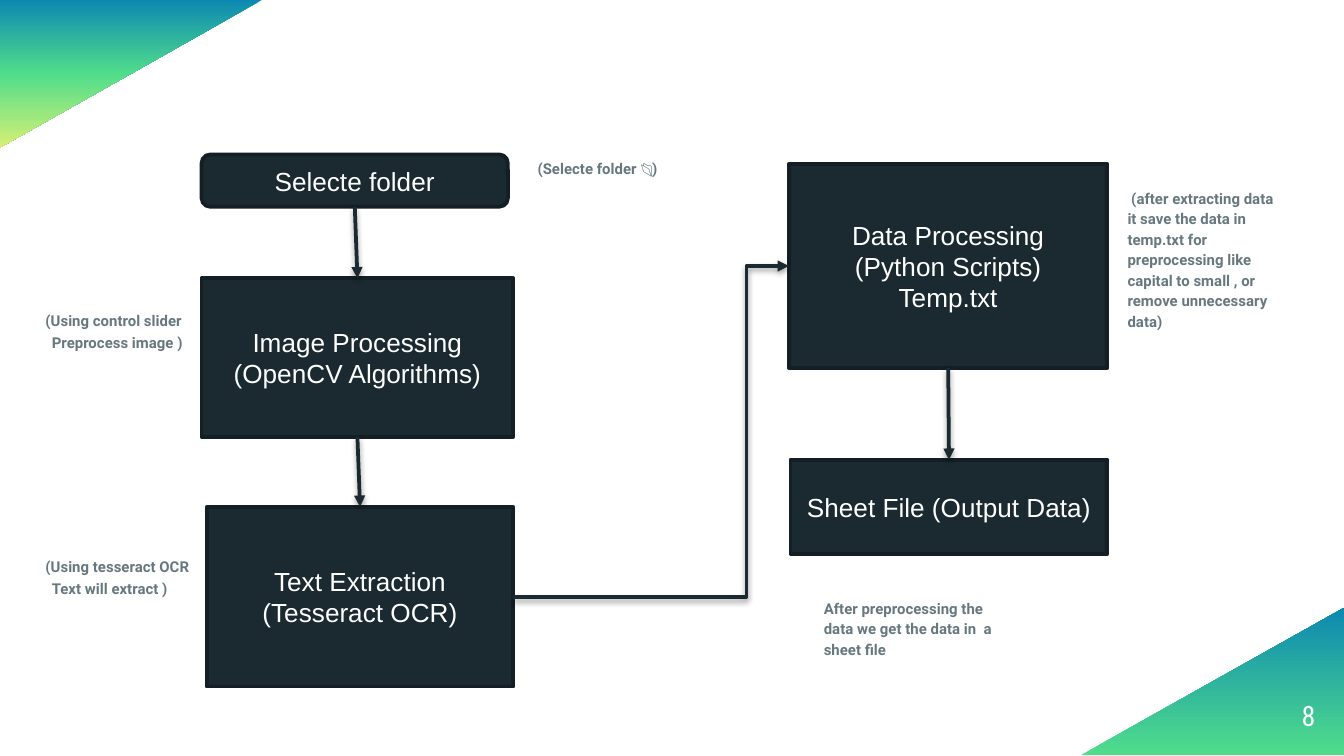
from copy import deepcopy

from lxml import etree
from pptx import Presentation
from pptx.dml.color import RGBColor
from pptx.enum.shapes import MSO_CONNECTOR, MSO_SHAPE
from pptx.enum.text import MSO_ANCHOR, PP_ALIGN
from pptx.oxml import parse_xml
from pptx.oxml.ns import nsdecls, qn
from pptx.util import Cm, Pt

RECT, ROUNDED = MSO_SHAPE.RECTANGLE, MSO_SHAPE.ROUNDED_RECTANGLE
TRIANGLE = MSO_SHAPE.RIGHT_TRIANGLE
STRAIGHT, ELBOW = MSO_CONNECTOR.STRAIGHT, MSO_CONNECTOR.ELBOW
LEFT, CENTER, RIGHT = PP_ALIGN.LEFT, PP_ALIGN.CENTER, PP_ALIGN.RIGHT
ANCHOR_TOP, ANCHOR_MIDDLE = MSO_ANCHOR.TOP, MSO_ANCHOR.MIDDLE
SITE_TOP, SITE_LEFT, SITE_BOTTOM, SITE_RIGHT = range(4)

DARK = RGBColor(0x1A, 0x2A, 0x30)
OUTLINE = RGBColor(0x13, 0x1F, 0x24)
GREY = RGBColor(0x66, 0x78, 0x7E)
WHITE = RGBColor(0xFF, 0xFF, 0xFF)
BLUE = RGBColor(0x0D, 0x89, 0xB1)
GREEN = RGBColor(0x50, 0xDD, 0x8B)
YELLOW = RGBColor(0xD6, 0xF0, 0x75)

STEP_FONT = {"name": "Arial", "size": Pt(14), "color": WHITE}
NOTE_FONT = {"name": "Roboto", "size": Pt(8), "bold": True, "color": GREY}
PAGE_FONT = {"name": "Roboto Condensed", "size": Pt(15), "color": WHITE}

# Boxes are left, top, width, height in centimetres
STEPS = {
    "select": (ROUNDED, (3.81, 2.92, 5.79, 0.99), ["Selecte folder"]),
    "image": (RECT, (3.81, 5.26, 5.89, 3),
              ["Image Processing", "(OpenCV Algorithms)"]),
    "extract": (RECT, (3.91, 9.58, 5.79, 3.4),
                ["Text Extraction", "(Tesseract OCR)"]),
    "data": (RECT, (14.91, 3.1, 6.02, 3.86),
             ["Data Processing", "(Python Scripts)", "Temp.txt"]),
    "sheet": (RECT, (14.94, 8.69, 5.99, 1.78), ["Sheet File (Output Data)"]),
}
DOWNWARD = [("select", "image"), ("image", "extract"), ("data", "sheet")]

NOTES = [
    ((10.16, 2.97, 2.9, 1), ["(Selecte folder 📂)"]),
    ((0.86, 5.84, 2.9, 1), ["(Using control slider", "Preprocess image )"]),
    ((0.86, 10.49, 2.9, 1), ["(Using tesseract OCR", "Text will extract )"]),
    ((21.31, 3.53, 2.9, 1), [
        " (after extracting data it save the data in temp.txt for "
        "preprocessing like capital to small , or remove unnecessary data)"]),
    ((15.57, 11.28, 3.4, 1), [
        "After preprocessing the data we get the data in  a sheet file"]),
]
NOTE_STEP = (0.12, 0.41)


def write(tf, lines, font, align, anchor):
    tf.word_wrap = True
    tf.vertical_anchor = anchor
    for i, line in enumerate(lines):
        p = tf.paragraphs[0] if i == 0 else tf.add_paragraph()
        p.alignment = align
        r = p.add_run()
        r.text = line
        for key, value in font.items():
            if key == "color":
                r.font.color.rgb = value
            else:
                setattr(r.font, key, value)


def add_text(s, box, lines, font, align=LEFT, anchor=ANCHOR_TOP):
    tf = s.shapes.add_textbox(*map(Cm, box)).text_frame
    for side in ("left", "top", "right", "bottom"):
        setattr(tf, f"margin_{side}", 0)
    write(tf, lines, font, align, anchor)
    return tf


def add_corner(s, box, rotation, colors):
    """Fill the box with a triangle turned by a quarter or three quarters."""
    x, y, w, h = box
    shift = (w - h) / 2
    sp = s.shapes.add_shape(TRIANGLE, *map(Cm, (x + shift, y - shift, h, w)))
    sp.rotation = rotation
    sp.shadow.inherit = False
    sp.line.fill.background()
    sp.fill.gradient()
    sp.fill.gradient_angle = 0
    stop_list = sp.fill._fill._gradFill.find(qn("a:gsLst"))
    while len(stop_list) < len(colors):
        stop_list.append(deepcopy(stop_list[-1]))
    for i, (stop, color) in enumerate(zip(sp.fill.gradient_stops, colors)):
        stop.color.rgb = color
        stop.position = i / (len(colors) - 1)


def add_step(s, kind, box, lines):
    sp = s.shapes.add_shape(kind, *map(Cm, box))
    sp.shadow.inherit = False
    sp.fill.solid()
    sp.fill.fore_color.rgb = DARK
    sp.line.color.rgb = OUTLINE
    sp.line.width = Pt(2)
    write(sp.text_frame, lines, STEP_FONT, CENTER, ANCHOR_MIDDLE)
    return sp


def add_arrow(s, kind, start, start_site, end, end_site):
    line = s.shapes.add_connector(kind, 0, 0, 0, 0)
    line.begin_connect(start, start_site)
    line.end_connect(end, end_site)
    line.line.color.rgb = DARK
    line.line.width = Pt(2)
    etree.SubElement(line.line._get_or_add_ln(), qn("a:tailEnd"),
                     type="triangle")
    # Soft shadow below the line
    line._element.spPr.append(parse_xml(
        f'<a:effectLst {nsdecls("a")}><a:outerShdw blurRad="40000" '
        'dist="20000" dir="5400000" rotWithShape="0"><a:srgbClr val="000000">'
        '<a:alpha val="38000"/></a:srgbClr></a:outerShdw></a:effectLst>'))
    return line


def add_flow(s):
    steps = {name: add_step(s, *step) for name, step in STEPS.items()}
    for start, end in DOWNWARD:
        add_arrow(s, STRAIGHT, steps[start], SITE_BOTTOM, steps[end], SITE_TOP)
    # Elbow to the second column, bending close to its end
    elbow = add_arrow(s, ELBOW, steps["extract"], SITE_RIGHT,
                      steps["data"], SITE_LEFT)
    geometry = elbow._element.spPr.find(qn("a:prstGeom"))
    guides = geometry.find(qn("a:avLst"))
    etree.SubElement(guides, qn("a:gd"), name="adj1", fmla="val 84600")


def add_note(s, box, lines):
    x, y, w, h = box
    dx, dy = NOTE_STEP
    for i, line in enumerate(lines):
        tf = add_text(s, (x + i * dx, y + i * dy, w, h), [line], NOTE_FONT)
        tf.paragraphs[0].line_spacing = 1.15


def main():
    prs = Presentation()
    prs.slide_width, prs.slide_height = Cm(25.4), Cm(14.29)
    s = prs.slides.add_slide(prs.slide_layouts[6])

    # Corner decoration and page number
    add_corner(s, (0, 0, 4.95, 2.79), 90, [BLUE, GREEN, YELLOW])
    add_corner(s, (20.42, 11.49, 4.98, 2.79), 270, [GREEN, BLUE])
    add_text(s, (23.34, 12.98, 1.52, 1.09), ["8"], PAGE_FONT,
             RIGHT, ANCHOR_MIDDLE)

    # Flow chart and its notes
    add_flow(s)
    for box, lines in NOTES:
        add_note(s, box, lines)

    prs.save("out.pptx")


if __name__ == "__main__":
    main()
